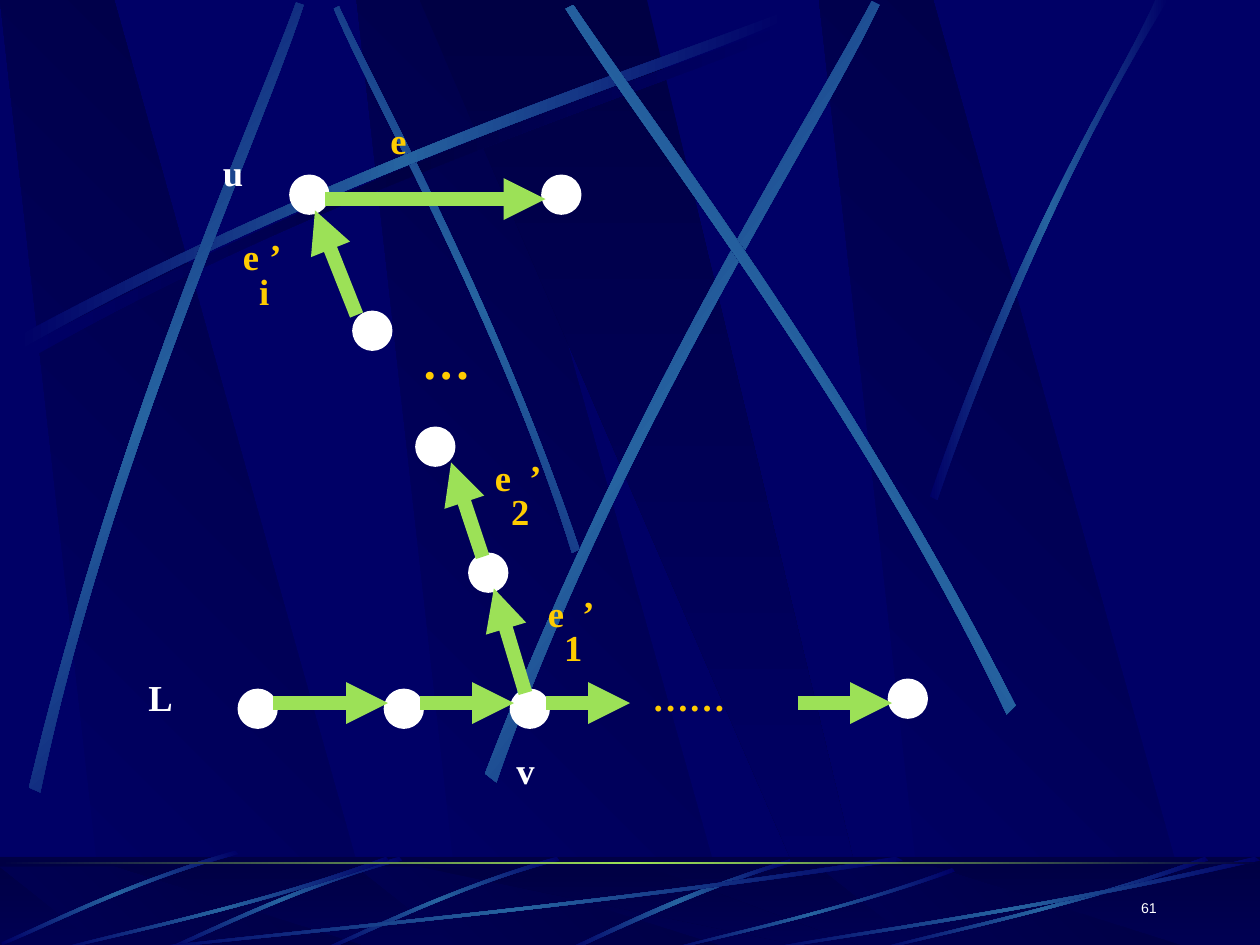
import pptx
import pptx.util
import pptx.dml.color
import pptx.enum.shapes
import pptx.enum.text
import pptx.oxml.ns
from lxml import etree

qn = pptx.oxml.ns.qn

COLORS = {"background": "000066", "dark": "000044", "streak": "2663A0",
          "green": "9CE157", "white": "FFFFFF", "gold": "FFCC00"}
FADE = ("background", "dark")
FADE_BACK = ("dark", "background")
GLOW = ("background", "streak", "background")
SHADE = ("background", "dark", "background")

# Outlines in fractions of their frame
BAND = [(0.28, 1), (1, 1), (0.3, 0), (0, 0)]
WEDGE = [(0, 0), (0.9, 1), (1, 1), (0.5, 0)]
BAND_LEFTS = [2.83, 0, 6.5]

# Streaks: start, two controls, end of one edge, then the same for the way back
BLADE = [(1, 0.04), (0.57, 0.57), (0.17, 0.85), (0.01, 1),
         (0, 0.99), (0.17, 0.81), (0.61, 0.51), (0.99, 0)]
BLADE_FRAMES = [(1, 6.8, 6.17, 0.75), (0.42, 6.8, 2.67, 0.75), (5.27, 6.89, 2.31, 0.66),
                (6.92, 6.8, 2.67, 0.75), (6, 6.8, 4, 0.75)]
LONG_STREAK = [(0.14, 2.67), (2.78, 1.25), (5.18, 0.51), (6.2, 0.1),
               (6.23, 0.16), (5.22, 0.61), (2.48, 1.43), (0.17, 2.77)]
SHORT_STREAK = [(4.42, 6.8), (3.55, 7.05), (2.87, 7.4), (2.56, 7.53),
                (2.57, 7.55), (2.88, 7.43), (3.65, 7.03), (4.44, 6.83)]
SHORT_SHIFTS = [(0, 0), (-1.25, 0), (-2.55, -0.05)]
EDGE_STREAK = [(6.27, 6.82), (5.37, 7.09), (4.77, 7.42), (4.48, 7.54),
               (4.53, 7.55), (4.9, 7.38), (5.71, 7), (6.28, 6.85)]
# Clockwise gradient angle, points
UPPER_STREAKS = [
    (315, [(4.6, 4.36), (3.91, 2.34), (3.02, 0.77), (2.69, 0.05),
           (2.65, 0.07), (2.95, 0.79), (3.98, 2.58), (4.54, 4.39)]),
    (0, LONG_STREAK),
    (48.3, [(0.23, 6.25), (0.93, 3.34), (1.97, 1.05), (2.35, 0.02),
            (2.41, 0.04), (2.07, 1.09), (0.86, 3.68), (0.32, 6.29)]),
    (38.4, [(3.85, 6.14), (4.98, 3.2), (6.38, 1.02), (6.92, 0.01),
            (6.98, 0.04), (6.49, 1.08), (4.86, 3.55), (3.94, 6.21)]),
    (325.3, [(8.06, 5.6), (6.7, 2.93), (5.16, 0.95), (4.55, 0.04),
             (4.49, 0.07), (5.07, 1.01), (6.85, 3.25), (7.99, 5.67)]),
    (0, [(7.38, 3.94), (8.14, 1.73), (8.88, 0.66), (9.17, 0),
         (9.27, 0), (8.36, 1.45), (7.69, 3.22), (7.44, 3.97)]),
]

NODES = [(2.33, 1.42), (2.83, 2.5), (3.33, 3.42), (3.75, 4.42), (7.08, 5.42),
         (4.08, 5.5), (3.08, 5.5), (1.92, 5.5), (4.33, 1.42)]
NODE_SIZE = 0.25
ARROWS = [((2.58, 1.58), (4.33, 1.58)), ((2.17, 5.58), (3.08, 5.58)),
          ((3.33, 5.58), (4.08, 5.58)), ((4.33, 5.58), (5, 5.58)),
          ((6.33, 5.58), (7.08, 5.58)), ((4.17, 5.5), (3.92, 4.67)),
          ((3.83, 4.42), (3.58, 3.67)), ((2.83, 2.5), (2.5, 1.67))]
# Runs, colour, left, top, width, height, size
LABELS = [
    (["……"], "gold", 5.08, 5.25, 1.25, 0.7, 36),
    (["L"], "white", 1.08, 5.25, 0.75, 0.7, 36),
    (["v"], "white", 4, 5.83, 0.75, 0.7, 36),
    (["u"], "white", 1.67, 1.08, 0.5, 0.7, 36),
    (["e"], "gold", 3, 0.83, 0.75, 0.7, 36),
    (["e", "1", "’"], "gold", 4.25, 4.58, 0.92, 0.7, 36),
    (["e", "2", "’"], "gold", 3.83, 3.5, 0.92, 0.7, 36),
    (["e", "i", "’"], "gold", 1.83, 1.75, 0.75, 0.7, 36),
    (["…"], "gold", 3.25, 2.5, 1.25, 0.9, 48),
]
RAISED, LOWERED = "30000", "-25000"


def length(inches):
    return pptx.util.Cm(inches * 2.54)


def color(name):
    return pptx.dml.color.RGBColor.from_string(COLORS[name])


def fill_gradient(shape, names, clockwise=0):
    shape.shadow.inherit = False
    shape.line.fill.background()
    shape.fill.gradient()
    shape.fill.gradient_angle = -clockwise % 360
    stops = shape._element.spPr.find(".//" + qn("a:gsLst"))
    for stop in list(stops):
        stops.remove(stop)
    for index, name in enumerate(names):
        stop = etree.SubElement(stops, qn("a:gs"), pos=str(100000 * index // (len(names) - 1)))
        etree.SubElement(stop, qn("a:srgbClr"), val=COLORS[name])


def add_outline(group, points, names, clockwise=0):
    corners = [(length(x), length(y)) for x, y in points]
    builder = group.shapes.build_freeform(*corners[0])
    builder.add_line_segments(corners[1:], close=True)
    shape = builder.convert_to_shape()
    fill_gradient(shape, names, clockwise)
    return shape


def add_streak(group, points, names=GLOW, clockwise=0):
    """Draw both long edges as Bezier curves joined by a short straight end."""
    shape = add_outline(group, points, names, clockwise)
    segments = list(shape._element.spPr.iter(qn("a:lnTo")))
    for edge in (segments[:3], segments[4:7]):
        bezier = etree.Element(qn("a:cubicBezTo"))
        edge[0].addprevious(bezier)
        for segment in edge:
            bezier.append(segment[0])
            segment.getparent().remove(segment)


def place(points, left, top, width=1, height=1):
    return [(left + x * width, top + y * height) for x, y in points]


def add_bands(group, top, height):
    for left in BAND_LEFTS:
        add_outline(group, place(BAND, left, top, 3.02, height), FADE, 315)
    add_outline(group, place(WEDGE, 3.33, top, 3.61, height), FADE_BACK, 90)


def add_shape(parent, kind, *frame):
    shape = parent.shapes.add_shape(kind, *map(length, frame))
    shape.shadow.inherit = False
    return shape


def add_background(slide):
    """Draw the decoration as one group and hand it to the slide master."""
    group = slide.shapes.add_group_shape()
    rectangle = pptx.enum.shapes.MSO_SHAPE.RECTANGLE
    footer = (0, 6.8, 10, 0.75)
    add_bands(group, 0, 7.52)
    add_streak(group, place(LONG_STREAK, 0.06, 0.08), SHADE)
    for angle, points in UPPER_STREAKS:
        add_streak(group, points, GLOW, angle)
    fill_gradient(add_shape(group, rectangle, *footer), FADE_BACK, 90)
    add_bands(group, 6.88, 0.67)
    veil = add_shape(group, rectangle, *footer)
    veil.line.fill.background()
    veil.fill.solid()
    veil.fill.fore_color.rgb = color("dark")
    etree.SubElement(veil._element.spPr.find(".//" + qn("a:srgbClr")), qn("a:alpha"), val="50000")
    add_streak(group, EDGE_STREAK)
    for shift in SHORT_SHIFTS:
        add_streak(group, place(SHORT_STREAK, *shift), GLOW, 315)
    for frame in BLADE_FRAMES:
        add_streak(group, place(BLADE, *frame))
    fill_gradient(add_shape(group, rectangle, 0, 6.84, 10, 0.02), ("dark", "green", "dark"))
    slide.slide_layout.slide_master.shapes._spTree.append(group._element)


def add_node(slide, left, top):
    node = add_shape(slide, pptx.enum.shapes.MSO_SHAPE.OVAL, left, top, NODE_SIZE, NODE_SIZE)
    node.fill.solid()
    node.fill.fore_color.rgb = node.line.color.rgb = color("white")
    node.line.width = pptx.util.Pt(5)


def add_arrow(slide, start, end):
    arrow = slide.shapes.add_connector(
        pptx.enum.shapes.MSO_CONNECTOR.STRAIGHT, *map(length, start + end))
    arrow.line.color.rgb = color("green")
    arrow.line.width = pptx.util.Pt(8)
    etree.SubElement(arrow.line._get_or_add_ln(), qn("a:tailEnd"), type="triangle")
    etree.SubElement(arrow._element.spPr, qn("a:effectLst"))


def add_text(slide, texts, color_name, frame, size, font="Times New Roman", bold=True):
    """Add one line of raised runs; a second run is lowered as an index."""
    box = slide.shapes.add_textbox(*map(length, frame))
    box.text_frame.word_wrap = True
    paragraph = box.text_frame.paragraphs[0]
    for index, text in enumerate(texts):
        run = paragraph.add_run()
        run.text = text
        run.font.name, run.font.size, run.font.bold = font, pptx.util.Pt(size), bold
        run.font.color.rgb = color(color_name)
        run._r.get_or_add_rPr().set("baseline", LOWERED if index == 1 else RAISED)
    return box.text_frame


def main():
    presentation = pptx.Presentation()
    presentation.slide_width, presentation.slide_height = length(10), length(7.5)
    slide = presentation.slides.add_slide(presentation.slide_layouts[6])
    slide.background.fill.solid()
    slide.background.fill.fore_color.rgb = color("background")
    add_background(slide)
    for node in NODES:
        add_node(slide, *node)
    for start, end in ARROWS:
        add_arrow(slide, start, end)
    for texts, color_name, *frame, size in LABELS:
        label = add_text(slide, texts, color_name, frame, size)
        label.auto_size = pptx.enum.text.MSO_AUTO_SIZE.SHAPE_TO_FIT_TEXT
    number = add_text(slide, ["61"], "white", (7.2, 6.9, 2.08, 0.5), 14, "Arial", False)
    number.vertical_anchor = pptx.enum.text.MSO_ANCHOR.BOTTOM
    number.paragraphs[0].alignment = pptx.enum.text.PP_ALIGN.RIGHT
    presentation.save("out.pptx")


if __name__ == "__main__":
    main()
